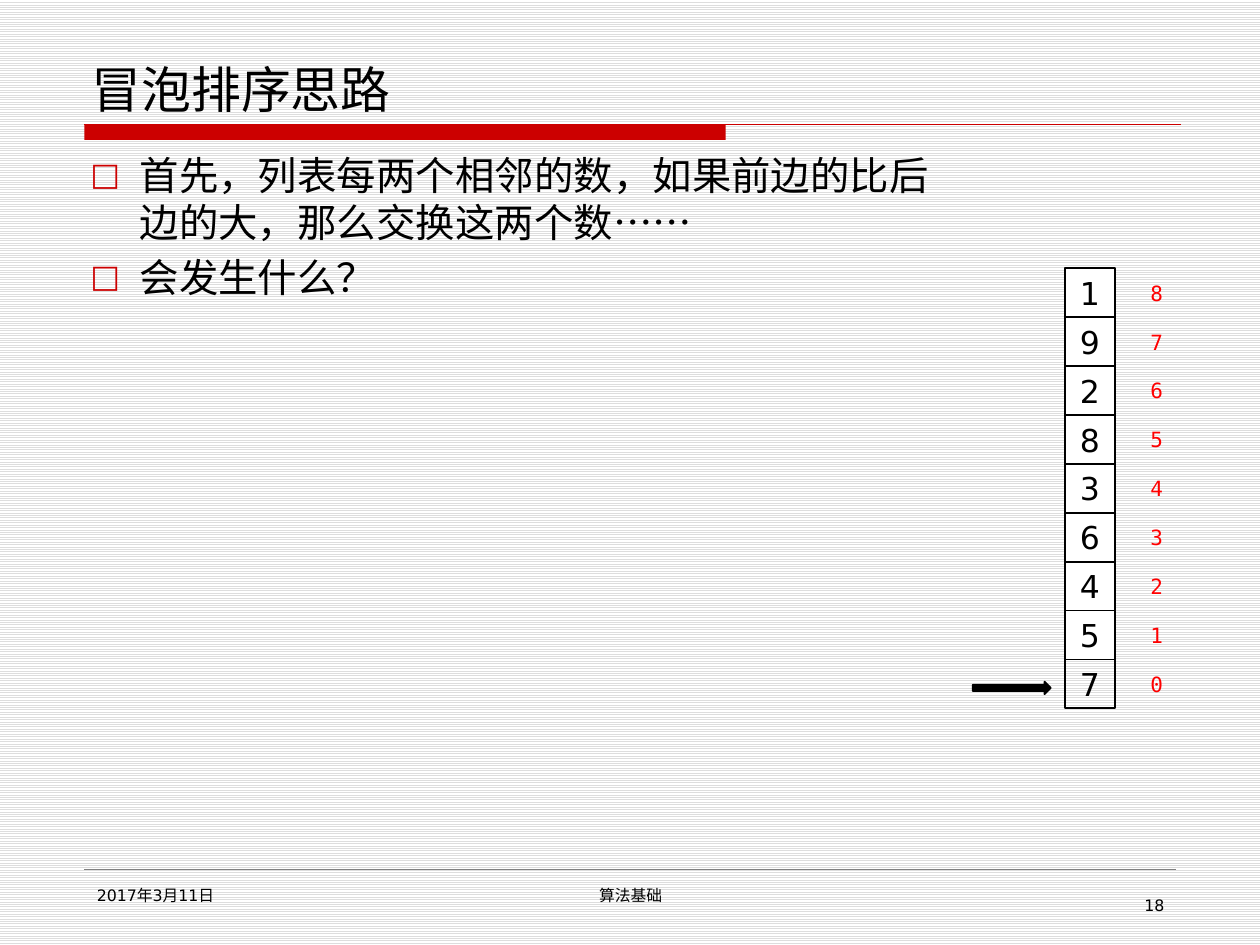
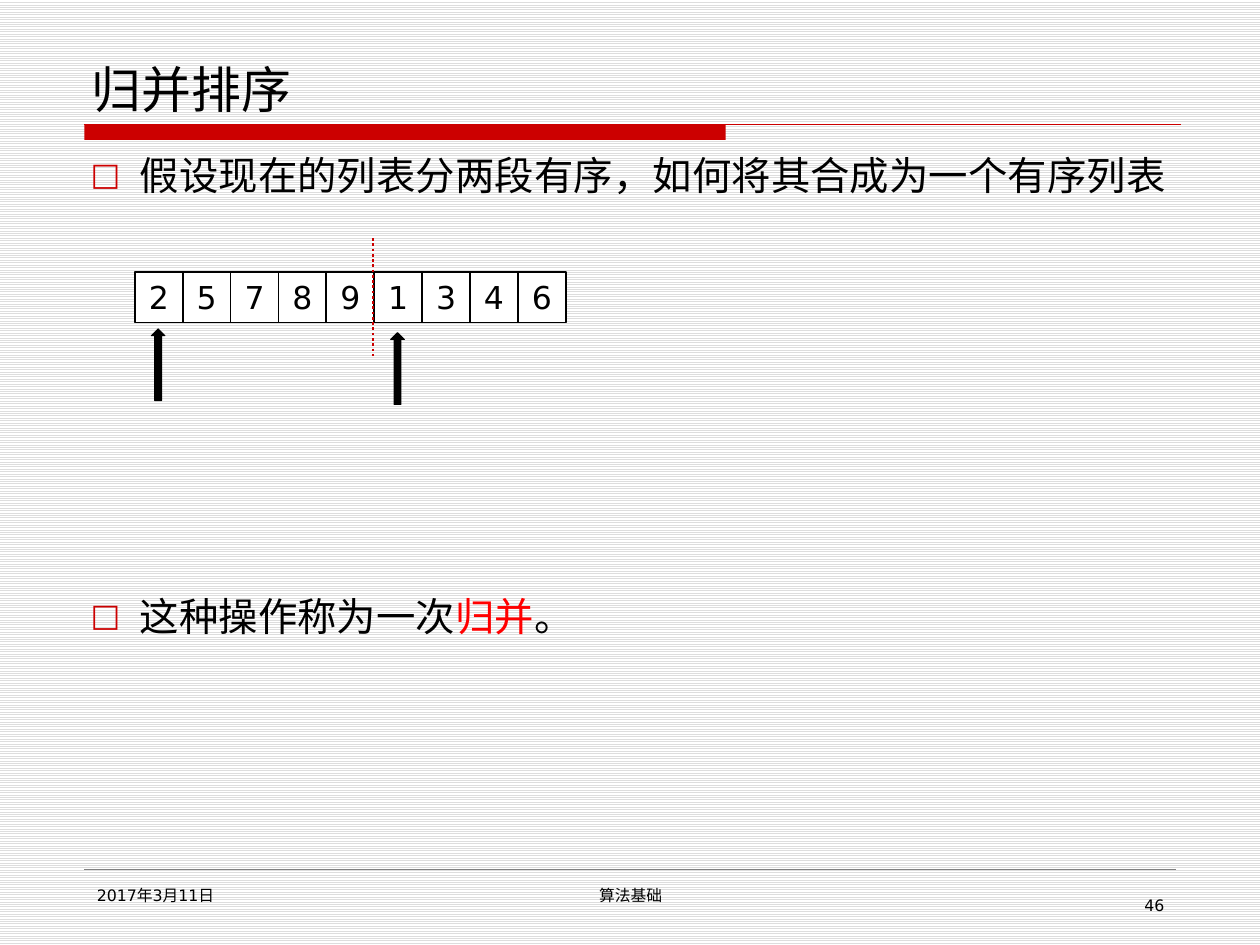
"""Builds two lecture slides on bubble sort and merge sort."""
from lxml import etree
from pptx import Presentation, util as u
from pptx.dml.color import RGBColor
from pptx.enum import dml, shapes, text
from pptx.oxml import ns

COLUMNS, ROWS = 100, 75
COLORS = {"ink": "000000", "paper": "FFFFFF", "stripe": "DDDDDD",
          "band": "CC0000", "accent": "FF0000", "rule": "808080"}
SANS, MONO = "DejaVu Sans", "DejaVu Sans Mono"
CELL_SHORT, CELL_LONG, CELL_PITCH = 3.8, 4, 3.88
LEFT, CENTER, RIGHT = text.PP_ALIGN.LEFT, text.PP_ALIGN.CENTER, text.PP_ALIGN.RIGHT
TOP, MIDDLE, BOTTOM = (text.MSO_ANCHOR.TOP, text.MSO_ANCHOR.MIDDLE,
                       text.MSO_ANCHOR.BOTTOM)


def color(name):
    return RGBColor.from_string(COLORS[name])


class Deck:
    """Holds the shared style and the current slide."""

    def __init__(self):
        self.presentation = Presentation()
        self.presentation.slide_width = u.Inches(10)
        self.presentation.slide_height = u.Inches(7.5)
        self.slide = None

    def x(self, columns):
        return round(self.presentation.slide_width * columns / COLUMNS)

    def y(self, rows):
        return round(self.presentation.slide_height * rows / ROWS)

    def place(self, left, top, width, height):
        return self.x(left), self.y(top), self.x(width), self.y(height)

    def start(self, title, number):
        self.slide = self.presentation.slides.add_slide(
            self.presentation.slide_layouts[6])
        fill = self.slide.background.fill
        fill.patterned()
        fill.pattern = dml.MSO_PATTERN.LIGHT_HORIZONTAL
        fill.fore_color.rgb = color("stripe")
        fill.back_color.rgb = color("paper")
        self.shape(shapes.MSO_SHAPE.RECTANGLE, (6.7, 9.9, 50.9, 1.2), "band")
        self.line((6.7, 9.9), (93.7, 9.9), "band", 0.75)
        self.line((6.7, 69), (93.3, 69), "rule", 0.25)
        self.label(title, (6.3, 3.3, 87.5, 6.6), 28.5, anchor=BOTTOM)
        self.label("2017年3月11日", (6.7, 69.8, 21.7, 3.7), 9)
        self.label("算法基础", (34.2, 69.8, 31.7, 3.7), 9, CENTER)
        self.label(str(number), (71.7, 70.6, 21.7, 2.9), 9, RIGHT)

    def font(self, paragraph, size, ink="ink", name=SANS):
        paragraph.font.size = u.Pt(size)
        paragraph.font.name = name
        paragraph.font.color.rgb = color(ink)

    def label(self, words, box, size, align=LEFT, anchor=TOP, ink="ink", name=SANS):
        frame = self.slide.shapes.add_textbox(*self.place(*box)).text_frame
        frame.word_wrap = True
        frame.vertical_anchor = anchor
        paragraph = frame.paragraphs[0]
        paragraph.text = words
        paragraph.alignment = align
        self.font(paragraph, size, ink, name)

    def bullets(self, box, items, gap):
        frame = self.slide.shapes.add_textbox(*self.place(*box)).text_frame
        frame.word_wrap = True
        for index, runs in enumerate(items):
            paragraph = frame.add_paragraph() if index else frame.paragraphs[0]
            if index:
                paragraph.space_before = u.Pt(gap)
            self.bullet(paragraph)
            self.font(paragraph, 22.5)
            for words, ink in runs:
                run = paragraph.add_run()
                run.text = words
                if ink != "ink":
                    run.font.color.rgb = color(ink)

    def bullet(self, paragraph):
        properties = paragraph._p.get_or_add_pPr()
        indent = self.x(3.9)
        properties.set("marL", str(indent))
        properties.set("indent", str(-indent))
        bullet_color = etree.SubElement(properties, ns.qn("a:buClr"))
        etree.SubElement(bullet_color, ns.qn("a:srgbClr"), val=COLORS["band"])
        etree.SubElement(properties, ns.qn("a:buSzPct"), val="80000")
        etree.SubElement(properties, ns.qn("a:buFont"), typeface=SANS)
        etree.SubElement(properties, ns.qn("a:buChar"), char="□")

    def shape(self, kind, box, fill=None, line=None, weight=1):
        shape = self.slide.shapes.add_shape(kind, *self.place(*box))
        shape.shadow.inherit = False
        if fill:
            shape.fill.solid()
            shape.fill.fore_color.rgb = color(fill)
        else:
            shape.fill.background()
        if line:
            shape.line.color.rgb = color(line)
            shape.line.width = u.Pt(weight)
        else:
            shape.line.fill.background()
        return shape

    def cell(self, value, box, fill="paper"):
        shape = self.shape(shapes.MSO_SHAPE.RECTANGLE, box, fill, "ink")
        frame = shape.text_frame
        frame.margin_left = frame.margin_right = 0
        frame.margin_top = frame.margin_bottom = 0
        frame.vertical_anchor = MIDDLE
        paragraph = frame.paragraphs[0]
        paragraph.text = str(value)
        paragraph.alignment = CENTER
        self.font(paragraph, 18)

    def line(self, start, end, ink, weight, dash=None):
        line = self.slide.shapes.add_connector(
            shapes.MSO_CONNECTOR.STRAIGHT, self.x(start[0]), self.y(start[1]),
            self.x(end[0]), self.y(end[1]))
        line.line.color.rgb = color(ink)
        line.line.width = u.Pt(weight)
        if dash:
            line.line.dash_style = dash
        etree.SubElement(line._element.spPr, ns.qn("a:effectLst"))


def bubble_sort(deck):
    deck.start("冒泡排序思路", 18)
    deck.bullets((6.2, 11.5, 71, 54.3), [
        [("首先，列表每两个相邻的数，如果前边的比后边的大，那么交换这两个数……", "ink")],
        [("会发生什么？", "ink")]], 4.5)
    values = [1, 9, 2, 8, 3, 6, 4, 5, 7]
    last = len(values) - 1
    for row, value in enumerate(values):
        top = 21.3 + row * CELL_PITCH
        deck.cell(value, (84.5, top, CELL_LONG, CELL_PITCH),
                  None if row == last else "paper")
        deck.label(str(last - row), (89.8, top, CELL_LONG, CELL_PITCH), 12,
                   CENTER, MIDDLE, "accent", MONO)
    deck.shape(shapes.MSO_SHAPE.RIGHT_ARROW, (77.2, 54.1, 6.2, 1), "ink", "ink")


def merge_sort(deck):
    deck.start("归并排序", 46)
    deck.bullets((6.2, 11.5, 87.5, 52), [
        [("假设现在的列表分两段有序，如何将其合成为一个有序列表", "ink")],
        [("这种操作称为一次", "ink"), ("归并", "accent"), ("。", "ink")]], 225)
    for column, value in enumerate([2, 5, 7, 8, 9, 1, 3, 4, 6]):
        deck.cell(value, (10.7 + column * CELL_SHORT, 21.6, CELL_SHORT, CELL_LONG))
    deck.line((29.6, 18.9), (29.6, 28.3), "band", 1.5, dml.MSO_LINE.ROUND_DOT)
    for left, top in [(12, 26.1), (31, 26.4)]:
        deck.shape(shapes.MSO_SHAPE.UP_ARROW, (left, top, 1.1, 5.7),
                   "ink", "ink", 0.5)


def main():
    deck = Deck()
    bubble_sort(deck)
    merge_sort(deck)
    deck.presentation.save("out.pptx")


if __name__ == "__main__":
    main()
